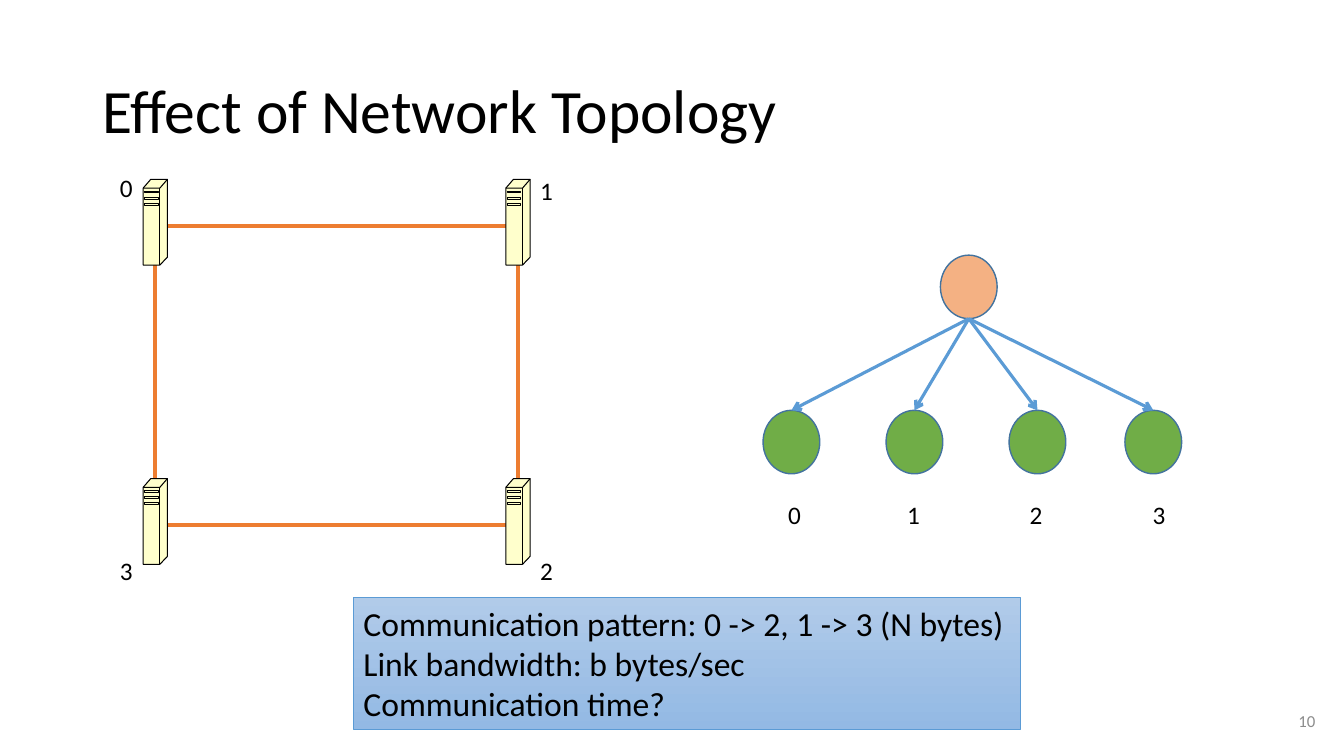
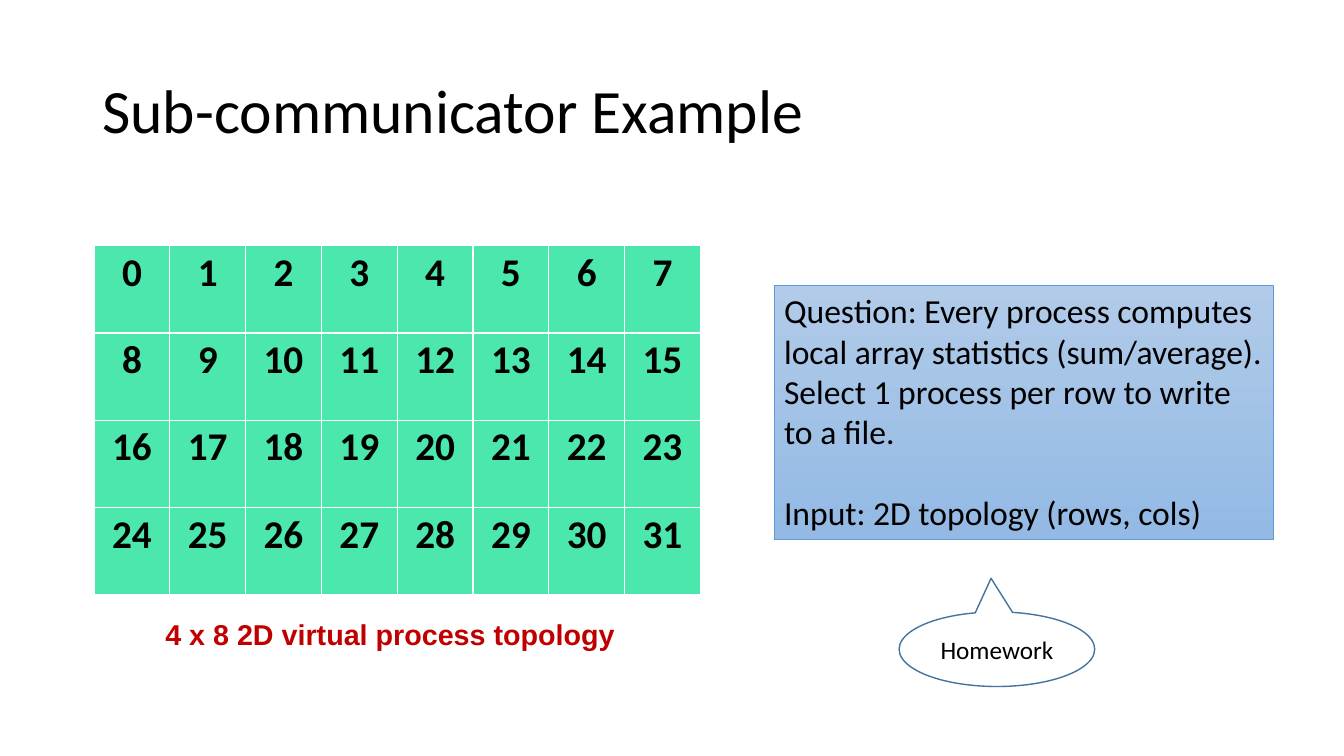
from dataclasses import dataclass
from typing import Optional

from lxml import etree
from pptx import Presentation, slide as sl, util as u
from pptx.dml import color as dml
from pptx.enum import shapes as es, text as et
from pptx.oxml import ns
from pptx.shapes import autoshape, base

COLORS = {
    "text": "000000",
    "number": "8C8C8C",
    "caption": "C00000",
    "link": "ED7D31",
    "server": "FFFFCC",
    "switch": "F4B183",
    "process": "70AD47",
    "outline": "43739E",
    "arrow": "5B9BD5",
    "panel_top": "B1CBE9",
    "panel_bottom": "93B9E4",
    "cell": "4BE7AC",
    "border": "FFFFFF",
}
Cm = u.Cm


@dataclass(frozen=True)
class Box:
    """Position and size in centimetres."""
    left: float
    top: float
    width: float
    height: float

    def emu(self) -> tuple[u.Length, ...]:
        return Cm(self.left), Cm(self.top), Cm(self.width), Cm(self.height)


@dataclass(frozen=True)
class Server:
    rank: str
    left: float
    top: float
    label_left: float
    label_top: float


@dataclass(frozen=True)
class Process:
    rank: str
    left: float
    label_left: float


TITLE = Box(2.33, 1.02, 29.21, 3.68)
LABEL_WIDTH, LABEL_HEIGHT = 0.84, 1.02

SERVER_LEFT, SERVER_RIGHT = 3.61, 12.75
SERVER_TOP, SERVER_BOTTOM = 4.52, 12.06
SERVER_WIDTH, SERVER_HEIGHT = 0.61, 2.16
SERVERS = (
    Server("0", SERVER_LEFT, SERVER_TOP, 2.77, 4.22),
    Server("1", SERVER_RIGHT, SERVER_TOP, 13.36, 4.29),
    Server("2", SERVER_RIGHT, SERVER_BOTTOM, 13.36, 13.87),
    Server("3", SERVER_LEFT, SERVER_BOTTOM, 2.77, 13.87),
)
# Server outlines in hundredths of a centimetre
SERVER_BODY = ((0, 22), (19, 0), (61, 0), (61, 196), (42, 216), (0, 216))
SERVER_EDGES = (((0, 22), (42, 22), (61, 0)), ((42, 22), (42, 216)))
SERVER_SLOT_TOPS = (30, 46, 61)
SLOT_LEFT, SLOT_RIGHT, SLOT_HEIGHT = 4, 38, 4

NODE_WIDTH, NODE_HEIGHT = 1.43, 1.6
SWITCH_LEFT, SWITCH_TOP = 23.7, 6.43
PROCESS_TOP, PROCESS_LABEL_TOP = 10.34, 12.45
PROCESSES = (
    Process("0", 19.23, 19.61),
    Process("1", 22.33, 22.61),
    Process("2", 25.43, 25.7),
    Process("3", 28.35, 28.8),
)

GRID_ROWS, GRID_COLS = 4, 8
CELL_WIDTH, CELL_HEIGHT = 1.91, 2.2


def rgb(name: str) -> dml.RGBColor:
    return dml.RGBColor.from_string(COLORS[name])


def write_text(frame, *lines: str, size: float = 18, font: str = "Calibri",
               color: str = "text", bold: bool = False,
               align=et.PP_ALIGN.LEFT, anchor=et.MSO_ANCHOR.TOP,
               wrap: bool = True, line_spacing: Optional[float] = None,
               last_gap: float = 0) -> None:
    """Fill a text frame, one paragraph a line; last_gap is points above the last."""
    frame.word_wrap = wrap
    frame.vertical_anchor = anchor
    for index, line in enumerate(lines):
        paragraph = frame.add_paragraph() if index else frame.paragraphs[0]
        paragraph.alignment = align
        if line_spacing:
            paragraph.line_spacing = line_spacing
        if last_gap and index == len(lines) - 1:
            paragraph.space_before = u.Pt(last_gap)
        run = paragraph.add_run()
        run.text = line
        run.font.name = font
        run.font.size = u.Pt(size)
        run.font.bold = bold
        run.font.color.rgb = rgb(color)


def add_text(slide: sl.Slide, box: Box, *lines: str, **text_format) -> None:
    write_text(slide.shapes.add_textbox(*box.emu()).text_frame, *lines, **text_format)


def add_label(slide: sl.Slide, left: float, top: float, label: str) -> None:
    add_text(slide, Box(left, top, LABEL_WIDTH, LABEL_HEIGHT), label, wrap=False)


def style_shape(shape: base.BaseShape, fill: Optional[str], line: str, width: float) -> None:
    shape.shadow.inherit = False
    if fill:
        shape.fill.solid()
        shape.fill.fore_color.rgb = rgb(fill)
    else:
        shape.fill.background()
    shape.line.color.rgb = rgb(line)
    shape.line.width = u.Pt(width)


def add_preset(slide: sl.Slide, preset: es.MSO_SHAPE, box: Box, fill: Optional[str] = None,
               line: str = "outline", width: float = 1) -> autoshape.Shape:
    shape = slide.shapes.add_shape(preset, *box.emu())
    style_shape(shape, fill, line, width)
    return shape


def add_panel(slide: sl.Slide, box: Box, *lines: str, **text_format) -> None:
    """Rectangle with a vertical blue gradient."""
    panel = add_preset(slide, es.MSO_SHAPE.RECTANGLE, box, line="arrow", width=0.5)
    panel.fill.gradient()
    panel.fill.gradient_angle = 270
    for stop, name in zip(panel.fill.gradient_stops, ("panel_top", "panel_bottom")):
        stop.color.rgb = rgb(name)
    write_text(panel.text_frame, *lines, size=24, **text_format)


def add_line(slide: sl.Slide, start: tuple[float, float], end: tuple[float, float],
             color: str, width: float, arrow: bool = False) -> None:
    line = slide.shapes.add_connector(
        es.MSO_CONNECTOR.STRAIGHT, *(Cm(value) for value in start + end))
    line.line.color.rgb = rgb(color)
    line.line.width = u.Pt(width)
    properties = line.element.spPr
    if arrow:
        etree.SubElement(properties.find(ns.qn("a:ln")), ns.qn("a:tailEnd"), type="arrow")
    etree.SubElement(properties, ns.qn("a:effectLst"))


def add_server(slide: sl.Slide, server: Server) -> None:
    origin = Cm(server.left), Cm(server.top)
    scale = Cm(0.01)
    body = slide.shapes.build_freeform(*SERVER_BODY[0], scale=scale)
    body.add_line_segments(SERVER_BODY[1:], close=True)
    style_shape(body.convert_to_shape(*origin), "server", "text", 0.75)

    front, side = SERVER_EDGES
    details = slide.shapes.build_freeform(*front[0], scale=scale)
    details.add_line_segments(front[1:], close=False)
    details.move_to(*side[0])
    details.add_line_segments(side[1:], close=False)
    for top in SERVER_SLOT_TOPS:
        bottom = top + SLOT_HEIGHT
        details.move_to(SLOT_LEFT, top)
        details.add_line_segments(
            ((SLOT_RIGHT, top), (SLOT_RIGHT, bottom), (SLOT_LEFT, bottom)), close=True)
    style_shape(details.convert_to_shape(*origin), None, "text", 0.75)
    add_label(slide, server.label_left, server.label_top, server.rank)


def add_ring(slide: sl.Slide) -> None:
    """Four servers joined in a square."""
    for top in (SERVER_TOP, SERVER_BOTTOM):
        y = top + 1.17
        add_line(slide, (SERVER_LEFT, y), (SERVER_RIGHT + SERVER_WIDTH, y), "link", 3)
    for left in (SERVER_LEFT, SERVER_RIGHT):
        x = left + SERVER_WIDTH / 2
        add_line(slide, (x, SERVER_BOTTOM), (x, SERVER_TOP + SERVER_HEIGHT), "link", 3)
    for server in SERVERS:
        add_server(slide, server)


def add_tree(slide: sl.Slide) -> None:
    """One switch with an arrow to each process."""
    def add_node(left: float, top: float, fill: str) -> None:
        add_preset(slide, es.MSO_SHAPE.OVAL, Box(left, top, NODE_WIDTH, NODE_HEIGHT), fill)

    half = NODE_WIDTH / 2
    add_node(SWITCH_LEFT, SWITCH_TOP, "switch")
    for process in PROCESSES:
        add_node(process.left, PROCESS_TOP, "process")
        add_line(slide, (SWITCH_LEFT + half, SWITCH_TOP + NODE_HEIGHT),
                 (process.left + half, PROCESS_TOP), "arrow", 2.25, arrow=True)
        add_label(slide, process.label_left, PROCESS_LABEL_TOP, process.rank)


def add_borders(cell) -> None:
    properties = cell._tc.get_or_add_tcPr()
    for side in ("a:lnL", "a:lnR", "a:lnT", "a:lnB"):
        border = etree.SubElement(properties, ns.qn(side), w=str(u.Pt(1)))
        fill = etree.SubElement(border, ns.qn("a:solidFill"))
        etree.SubElement(fill, ns.qn("a:srgbClr"), val=COLORS["border"])


def add_process_grid(slide: sl.Slide) -> None:
    box = Box(2.37, 6.19, GRID_COLS * CELL_WIDTH, GRID_ROWS * CELL_HEIGHT)
    grid = slide.shapes.add_table(GRID_ROWS, GRID_COLS, *box.emu()).table
    grid.first_row = grid.horz_banding = False
    for column in grid.columns:
        column.width = Cm(CELL_WIDTH)
    for row in grid.rows:
        row.height = Cm(CELL_HEIGHT)
    for rank, cell in enumerate(grid.iter_cells()):
        cell.margin_left = cell.margin_right = Cm(0.16)
        cell.margin_top = cell.margin_bottom = Cm(0.08)
        add_borders(cell)
        cell.fill.solid()
        cell.fill.fore_color.rgb = rgb("cell")
        write_text(cell.text_frame, str(rank), size=28, bold=True, align=et.PP_ALIGN.CENTER)


def add_titled_slide(deck, title: str) -> sl.Slide:
    slide = deck.slides.add_slide(deck.slide_layouts[6])
    add_text(slide, TITLE, title, size=44, anchor=et.MSO_ANCHOR.MIDDLE, line_spacing=0.9)
    return slide


def build_topology_slide(deck) -> None:
    slide = add_titled_slide(deck, "Effect of Network Topology")
    add_ring(slide)
    add_text(slide, Box(23.93, 17.65, 9.47, 1.02), "10", size=12, color="number",
             align=et.PP_ALIGN.RIGHT, anchor=et.MSO_ANCHOR.MIDDLE)
    add_tree(slide)
    add_panel(slide, Box(8.91, 15.06, 16.8, 3.33),
              "Communication pattern: 0 -> 2, 1 -> 3 (N bytes)",
              "Link bandwidth: b bytes/sec",
              "Communication time?", wrap=False)


def build_communicator_slide(deck) -> None:
    slide = add_titled_slide(deck, "Sub-communicator Example")
    add_process_grid(slide)
    add_text(slide, Box(3.86, 15.42, 11.96, 1.14), "4 x 8 2D virtual process topology",
             size=20.5, font="Arial", color="caption", bold=True,
             align=et.PP_ALIGN.CENTER, wrap=False)
    add_panel(slide, Box(19.51, 7.19, 12.58, 6.41),
              "Question: Every process computes local array statistics (sum/average).",
              "Select 1 process per row to write to a file.",
              "Input: 2D topology (rows, cols)", last_gap=29)
    homework = add_preset(slide, es.MSO_SHAPE.OVAL_CALLOUT, Box(22.66, 15.42, 4.93, 1.88))
    homework.adjustments[0] = -0.03
    homework.adjustments[1] = -0.95
    write_text(homework.text_frame, "Homework", align=et.PP_ALIGN.CENTER,
               anchor=et.MSO_ANCHOR.MIDDLE)


def main() -> None:
    deck = Presentation()
    deck.slide_width, deck.slide_height = Cm(33.87), Cm(19.05)
    build_topology_slide(deck)
    build_communicator_slide(deck)
    deck.save("out.pptx")


if __name__ == "__main__":
    main()
